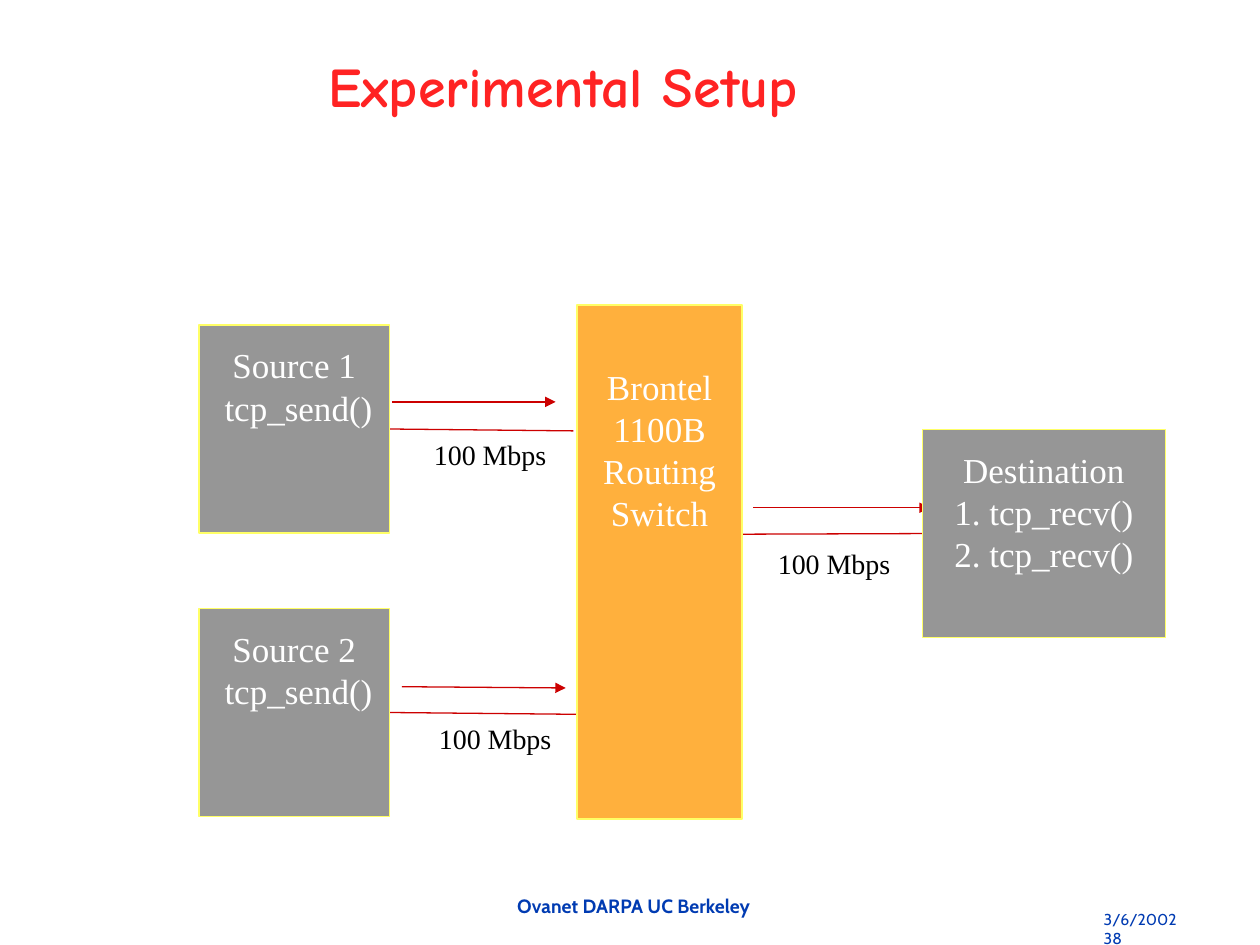
from dataclasses import dataclass
from typing import Optional

from lxml import etree
from pptx import Presentation
from pptx.dml.color import RGBColor
from pptx.enum import shapes, text
from pptx.oxml import ns
from pptx.util import Inches, Pt

COLORS = {"red": "FF2323", "wire": "CC0000", "gray": "969696", "orange": "FFB03D",
          "edge": "FFFF66", "blue": "003BB2", "white": "FFFFFF", "black": "000000"}
SERIF = "Times New Roman"


@dataclass
class Style:
    size: float
    font: str
    color: str
    bold: bool = False


@dataclass
class Box:
    x: float
    y: float
    w: float
    h: float
    words: str
    fill: str = "gray"
    inset: float = 0.15


@dataclass
class Link:
    x1: float
    y1: float
    x2: float
    y2: float
    arrow: bool = False
    start: Optional[tuple] = None


@dataclass
class Label:
    x: float
    y: float
    w: float
    h: float
    words: str
    style: Style
    margin_y: float = 0.05
    align: text.PP_ALIGN = text.PP_ALIGN.CENTER
    tab: Optional[float] = None


BODY = Style(20, SERIF, "white")
RATE = Style(16, SERIF, "black")
BOXES = {
    "source2": Box(1.58, 4.83, 1.51, 1.65, "Source 2\n tcp_send()"),
    "destination": Box(7.32, 3.41, 1.93, 1.65, "Destination\n1. tcp_recv()\n2. tcp_recv()"),
    "source1": Box(1.58, 2.58, 1.51, 1.65, "Source 1\n tcp_send()"),
    "switch": Box(4.58, 2.42, 1.31, 4.08, "Brontel\n1100B\nRouting\nSwitch", "orange", 0.48),
}
LINKS = [
    Link(7.32, 4.23, 5.84, 4.24, start=("destination", 1)),
    Link(3.09, 3.42, 4.55, 3.42, start=("source1", 3)),
    Link(3.09, 5.67, 4.64, 5.67, start=("source2", 3)),
    Link(5.98, 4.03, 7.38, 4.03, arrow=True),
    Link(3.11, 3.19, 4.41, 3.19, arrow=True),
    Link(3.19, 5.45, 4.49, 5.46, arrow=True),
]
LABELS = [Label(x, y, 1.34, 0.56, "100 Mbps", RATE)
          for x, y in [(3.22, 3.42), (3.26, 5.68), (5.95, 4.29)]]
LABELS += [
    Label(8.67, 7.22, 1.16, 0.17, "3/6/2002\t38", Style(9, "Cabin", "blue"), 0,
          text.PP_ALIGN.LEFT, 0.84),
    Label(3.89, 7.05, 2.28, 0.27, "Ovanet DARPA UC Berkeley", Style(11, "Cabin", "blue", True)),
]


def rgb(name: str) -> RGBColor:
    """Look up a named colour."""
    return RGBColor.from_string(COLORS[name])


def write(tf, words: str, style: Style, align=text.PP_ALIGN.CENTER) -> None:
    """Fill a text frame and format every run."""
    tf.text = words
    tf.word_wrap = True
    tf.vertical_anchor = text.MSO_ANCHOR.TOP
    for p in tf.paragraphs:
        p.alignment = align
        for r in p.runs:
            r.font.size, r.font.name, r.font.bold = Pt(style.size), style.font, style.bold
            r.font.color.rgb = rgb(style.color)


def add_link(s, link: Link):
    """Draw a wire or a flow arrow."""
    cx = s.shapes.add_connector(shapes.MSO_CONNECTOR.STRAIGHT, Inches(link.x1), Inches(link.y1),
                                Inches(link.x2), Inches(link.y2))
    cx.line.color.rgb, cx.line.width = rgb("wire"), Pt(0.75)
    if link.arrow:
        etree.SubElement(cx.line._get_or_add_ln(), ns.qn("a:tailEnd"), type="triangle")
    etree.SubElement(cx._element.spPr, ns.qn("a:effectLst"))
    return cx


def add_box(s, box: Box):
    """Draw a node with its caption."""
    sp = s.shapes.add_shape(shapes.MSO_SHAPE.RECTANGLE, Inches(box.x), Inches(box.y),
                            Inches(box.w), Inches(box.h))
    sp.shadow.inherit = False
    sp.fill.solid()
    sp.fill.fore_color.rgb = rgb(box.fill)
    sp.line.color.rgb, sp.line.width = rgb("edge"), Pt(0.75)
    tf = sp.text_frame
    write(tf, box.words, BODY)
    tf.margin_top = Inches(box.inset)
    return sp


def add_label(s, label: Label) -> None:
    """Draw a free-standing text."""
    sp = s.shapes.add_textbox(Inches(label.x), Inches(label.y), Inches(label.w), Inches(label.h))
    tf = sp.text_frame
    tf.margin_left = tf.margin_right = Inches(0.09)
    tf.margin_top = tf.margin_bottom = Inches(label.margin_y)
    write(tf, label.words, label.style, label.align)
    if label.tab:
        tabs = etree.SubElement(tf.paragraphs[0]._p.get_or_add_pPr(), ns.qn("a:tabLst"))
        etree.SubElement(tabs, ns.qn("a:tab"), pos=str(Inches(label.tab)), algn="l")


def main() -> None:
    """Build the slide."""
    prs = Presentation()
    prs.slide_width, prs.slide_height = Inches(10), Inches(7.5)
    s = prs.slides.add_slide(prs.slide_layouts[5])
    title = s.shapes.title
    title.left, title.top, title.width, title.height = map(Inches, (0.33, 0.42, 8.28, 0.91))
    write(title.text_frame, "Experimental Setup", Style(32, "Comic Neue", "red", True))
    title.text_frame.paragraphs[0].line_spacing = 0.9
    wires = [add_link(s, link) for link in LINKS]
    nodes = {name: add_box(s, box) for name, box in BOXES.items()}
    for cx, link in zip(wires, LINKS):
        if link.start:
            name, side = link.start
            cx.begin_connect(nodes[name], side)
    for label in LABELS:
        add_label(s, label)
    prs.save("out.pptx")


if __name__ == "__main__":
    main()
